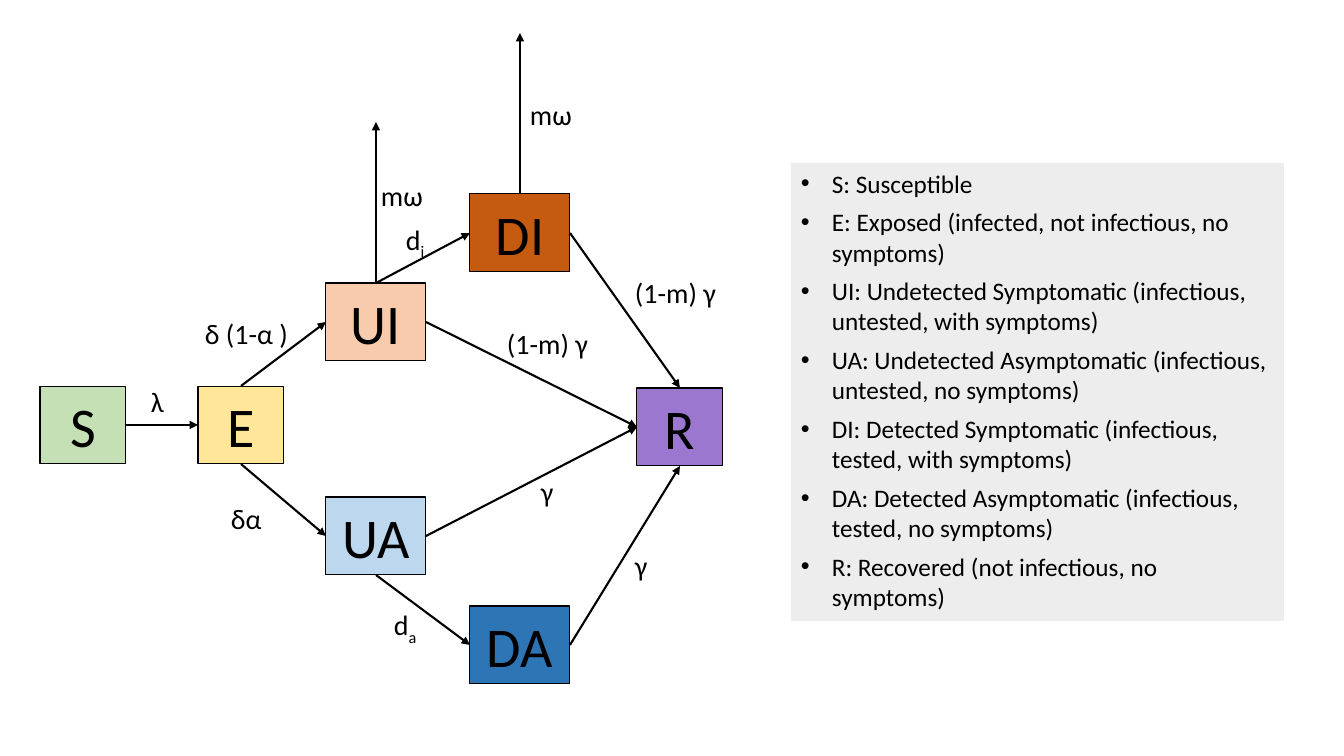
from typing import NamedTuple

from lxml import etree
from pptx import Presentation
from pptx.dml.color import RGBColor
from pptx.enum.shapes import MSO_CONNECTOR, MSO_SHAPE
from pptx.enum.text import MSO_ANCHOR, MSO_AUTO_SIZE, PP_ALIGN
from pptx.oxml.ns import qn
from pptx.util import Pt

RECT = MSO_SHAPE.RECTANGLE
LINE = MSO_CONNECTOR.STRAIGHT
LEFT, MID = PP_ALIGN.LEFT, PP_ALIGN.CENTER
UPPER, CENTER = MSO_ANCHOR.TOP, MSO_ANCHOR.MIDDLE
FIT = MSO_AUTO_SIZE.SHAPE_TO_FIT_TEXT

BLACK = RGBColor(0x00, 0x00, 0x00)
GREEN = RGBColor(0xC5, 0xE0, 0xB4)
YELLOW = RGBColor(0xFF, 0xE6, 0x99)
PEACH = RGBColor(0xF8, 0xCB, 0xAD)
SKY = RGBColor(0xBD, 0xD7, 0xEE)
RUST = RGBColor(0xC5, 0x5A, 0x11)
BLUE = RGBColor(0x2E, 0x75, 0xB6)
PURPLE = RGBColor(0x9B, 0x77, 0xCF)
GRAY = RGBColor(0xED, 0xED, 0xED)

FONT = "Calibri"
SCALE = 914400 / 100.8
HIGH = 78  # height of every state box
TALL = 44  # height of every rate label
RISE = 161  # length of the arrows that leave upward
HANG = 31  # bullet indent

# Connection sites of a rectangle
TOP, WEST, BASE, EAST = range(4)


class State(NamedTuple):
    name: str
    x: int
    y: int
    wide: int
    fill: RGBColor


class Flow(NamedTuple):
    start: str
    exit: int
    end: str
    entry: int


class Rate(NamedTuple):
    text: str
    x: int
    y: int
    wide: int
    sub: str = ""


STATES = [
    State("S", 40, 386, 86, GREEN),
    State("E", 198, 386, 86, YELLOW),
    State("UI", 326, 283, 100, PEACH),
    State("UA", 326, 497, 100, SKY),
    State("DI", 470, 194, 100, RUST),
    State("DA", 470, 606, 100, BLUE),
    State("R", 637, 388, 86, PURPLE),
]
FLOWS = [
    Flow("S", EAST, "E", WEST),
    Flow("E", TOP, "UI", WEST),
    Flow("E", BASE, "UA", WEST),
    Flow("UI", TOP, "DI", WEST),
    Flow("UA", BASE, "DA", WEST),
    Flow("DI", EAST, "R", TOP),
    Flow("DA", EAST, "R", BASE),
    Flow("UI", EAST, "R", WEST),
    Flow("UA", EAST, "R", WEST),
]
DEATHS = ["DI", "UI"]
RATES = [
    Rate("λ", 141, 380, 36),
    Rate("δ (1-α )", 195, 312, 105),
    Rate("δα", 221, 497, 52),
    Rate("d", 396, 218, 39, "i"),
    Rate("d", 384, 603, 44, "a"),
    Rate("(1-m) γ ", 625, 271, 108),
    Rate("γ", 625, 544, 32),
    Rate("(1-m) γ ", 497, 322, 108),
    Rate("γ", 531, 470, 32),
    Rate("mω ", 520, 93, 69),
    Rate("mω ", 371, 174, 69),
]
LEGEND = [
    "S: Susceptible",
    "E: Exposed (infected, not infectious, no symptoms)",
    "UI: Undetected Symptomatic (infectious, untested, with symptoms)",
    "UA: Undetected Asymptomatic (infectious, untested, no symptoms)",
    "DI: Detected Symptomatic (infectious, tested, with symptoms)",
    "DA: Detected Asymptomatic (infectious, tested, no symptoms)",
    "R: Recovered (not infectious, no symptoms)",
]


def px(size: float) -> int:
    return round(size * SCALE)


def write(para, text: str, *, size: int, align=LEFT, sub: bool = False) -> None:
    para.alignment = align
    run = para.add_run()
    run.text = text
    run.font.size = Pt(size)
    run.font.name = FONT
    run.font.color.rgb = BLACK
    if sub:
        run.font._element.set("baseline", "-25000")


def block(x: int, y: int, wide: int, high: int, fill: RGBColor):
    shape = slide.shapes.add_shape(RECT, px(x), px(y), px(wide), px(high))
    shape.shadow.inherit = False
    shape.fill.solid()
    shape.fill.fore_color.rgb = fill
    shape.text_frame.word_wrap = True
    return shape


def draw_state(state: State):
    box = block(state.x, state.y, state.wide, HIGH, state.fill)
    box.line.color.rgb = BLACK
    box.line.width = Pt(0.75)
    box.text_frame.vertical_anchor = CENTER
    write(box.text_frame.paragraphs[0], state.name, size=40, align=MID)
    return box


def arrow():
    link = slide.shapes.add_connector(LINE, 0, 0, 0, 0)
    link.line.color.rgb = BLACK
    link.line.width = Pt(1.5)
    etree.SubElement(link.line._get_or_add_ln(), qn("a:tailEnd"), type="triangle")
    etree.SubElement(link._element.spPr, qn("a:effectLst"))
    return link


def draw_flow(flow: Flow) -> None:
    link = arrow()
    link.begin_connect(boxes[flow.start], flow.exit)
    link.end_connect(boxes[flow.end], flow.entry)


def draw_death(name: str) -> None:
    link, box = arrow(), boxes[name]
    link.begin_connect(box, TOP)
    link.end_x = box.left + box.width // 2
    link.end_y = box.top - px(RISE)


def draw_rate(rate: Rate) -> None:
    label = slide.shapes.add_textbox(px(rate.x), px(rate.y), px(rate.wide), px(TALL))
    frame = label.text_frame
    frame.word_wrap = False
    frame.auto_size = FIT
    write(frame.paragraphs[0], rate.text, size=20)
    if rate.sub:
        write(frame.paragraphs[0], rate.sub, size=20, sub=True)


def draw_legend(lines: list[str]) -> None:
    panel = block(791, 163, 493, 458, GRAY)
    panel.line.fill.background()
    frame = panel.text_frame
    frame.vertical_anchor = UPPER
    for i, text in enumerate(lines):
        para = frame.add_paragraph() if i else frame.paragraphs[0]
        para.space_after = Pt(6)
        props = para._p.get_or_add_pPr()
        props.set("marL", str(px(HANG)))
        props.set("indent", str(-px(HANG)))
        etree.SubElement(props, qn("a:buFont"), typeface="Arial")
        etree.SubElement(props, qn("a:buChar"), char="•")
        write(para, text, size=18)


deck = Presentation()
deck.slide_width, deck.slide_height = px(1344), px(756)
slide = deck.slides.add_slide(deck.slide_layouts[6])

# States and the flows between them
boxes = {state.name: draw_state(state) for state in STATES}
for flow in FLOWS:
    draw_flow(flow)
for name in DEATHS:
    draw_death(name)

# Rates and legend
for rate in RATES:
    draw_rate(rate)
draw_legend(LEGEND)

deck.save("out.pptx")
